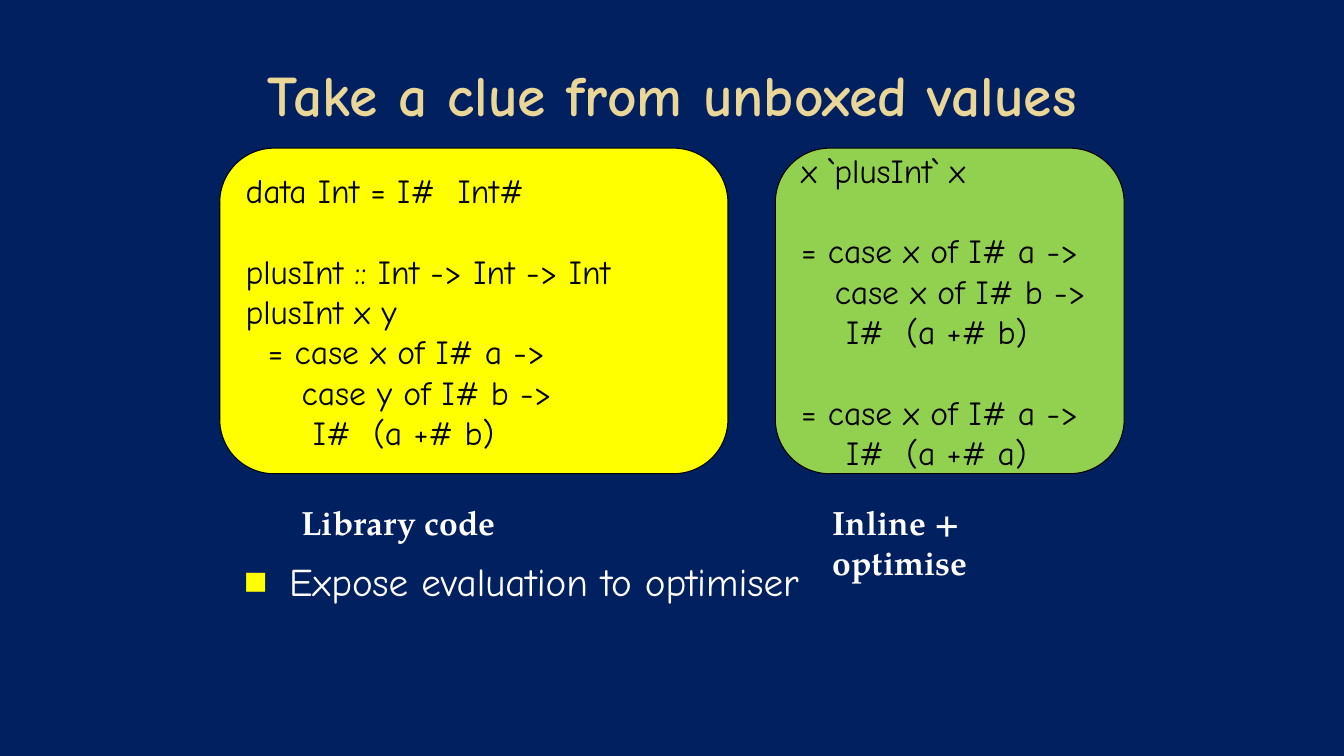
from lxml.etree import SubElement
from pptx import Presentation
from pptx.dml.color import RGBColor
from pptx.enum.shapes import MSO_SHAPE
from pptx.enum.text import MSO_ANCHOR, PP_ALIGN
from pptx.oxml.ns import qn
from pptx.text.text import Font
from pptx.util import Inches, Pt

NAVY = "002060"
GOLD = "EAD696"
YELLOW = "FFFF00"
GREEN = "92D050"
WHITE = "FFFFFF"
BLACK = "000000"
HAND_FONT = "Comic Neue"
LABEL_FONT = "TeX Gyre Pagella"

LIBRARY_CODE = """data Int = I#  Int#

plusInt :: Int -> Int -> Int
plusInt x y
  = case x of I# a ->
     case y of I# b ->
      I#  (a +# b)"""

INLINED_CODE = """x `plusInt` x

= case x of I# a ->
   case x of I# b ->
    I#  (a +# b)

= case x of I# a ->
    I#  (a +# a)"""


def color(hex_value):
    return RGBColor.from_string(hex_value)


def style(font, size, name, hex_value, bold=False):
    font.size = Pt(size)
    font.name = name
    font.bold = bold
    font.color.rgb = color(hex_value)


def write(frame, text, size, name, hex_value, bold=False):
    frame.word_wrap = True
    frame.text = text
    for line in frame.paragraphs:
        for run in line.runs:
            style(run.font, size, name, hex_value, bold)
        if not line.runs:
            style(Font(line._p.get_or_add_endParaRPr()), size, name, hex_value)


def add_text(slide, left, top, width, height, *text_style):
    frame = slide.shapes.add_textbox(
        Inches(left), Inches(top), Inches(width), Inches(height)).text_frame
    write(frame, *text_style)
    return frame


def add_title(slide, text):
    title = add_text(slide, 0.67, 0.3, 12, 1.25, text, 41, HAND_FONT, GOLD, True)
    title.vertical_anchor = MSO_ANCHOR.MIDDLE
    title.paragraphs[0].alignment = PP_ALIGN.CENTER


def add_bullet(slide, text):
    body = add_text(slide, 2.17, 5.48, 9, 1.42, text, 28, HAND_FONT, WHITE)
    properties = body.paragraphs[0]._p.get_or_add_pPr()
    properties.set("marL", str(Inches(0.6)))
    properties.set("indent", str(Inches(-0.45)))
    bullet_color = SubElement(properties, qn("a:buClr"))
    SubElement(bullet_color, qn("a:srgbClr"), val=YELLOW)
    SubElement(properties, qn("a:buFont"), typeface="Arial")
    SubElement(properties, qn("a:buChar"), char="■")


def add_code_panel(slide, left, width, fill, code):
    panel = slide.shapes.add_shape(
        MSO_SHAPE.ROUNDED_RECTANGLE,
        Inches(left), Inches(1.47), Inches(width), Inches(3.23))
    panel.shadow.inherit = False
    panel.fill.solid()
    panel.fill.fore_color.rgb = color(fill)
    panel.line.color.rgb = color(BLACK)
    panel.line.width = Pt(0.75)
    panel.text_frame.vertical_anchor = MSO_ANCHOR.MIDDLE
    write(panel.text_frame, code, 24, HAND_FONT, BLACK)
    for line in panel.text_frame.paragraphs:
        line.alignment = PP_ALIGN.LEFT


def add_label(slide, left, width, text):
    add_text(slide, left, 4.93, width, 0.5, text, 24, LABEL_FONT, WHITE, True)


def main():
    deck = Presentation()
    deck.slide_width = Inches(13.33)
    deck.slide_height = Inches(7.5)
    slide = deck.slides.add_slide(deck.slide_layouts[6])
    slide.background.fill.solid()
    slide.background.fill.fore_color.rgb = color(NAVY)

    add_title(slide, "Take a clue from unboxed values")
    add_bullet(slide, "Expose evaluation to optimiser")
    add_code_panel(slide, 2.18, 5.04, YELLOW, LIBRARY_CODE)
    add_code_panel(slide, 7.69, 3.46, GREEN, INLINED_CODE)
    add_label(slide, 2.89, 2.14, "Library code")
    add_label(slide, 8.16, 2.85, "Inline + optimise")
    deck.save("out.pptx")


if __name__ == "__main__":
    main()
